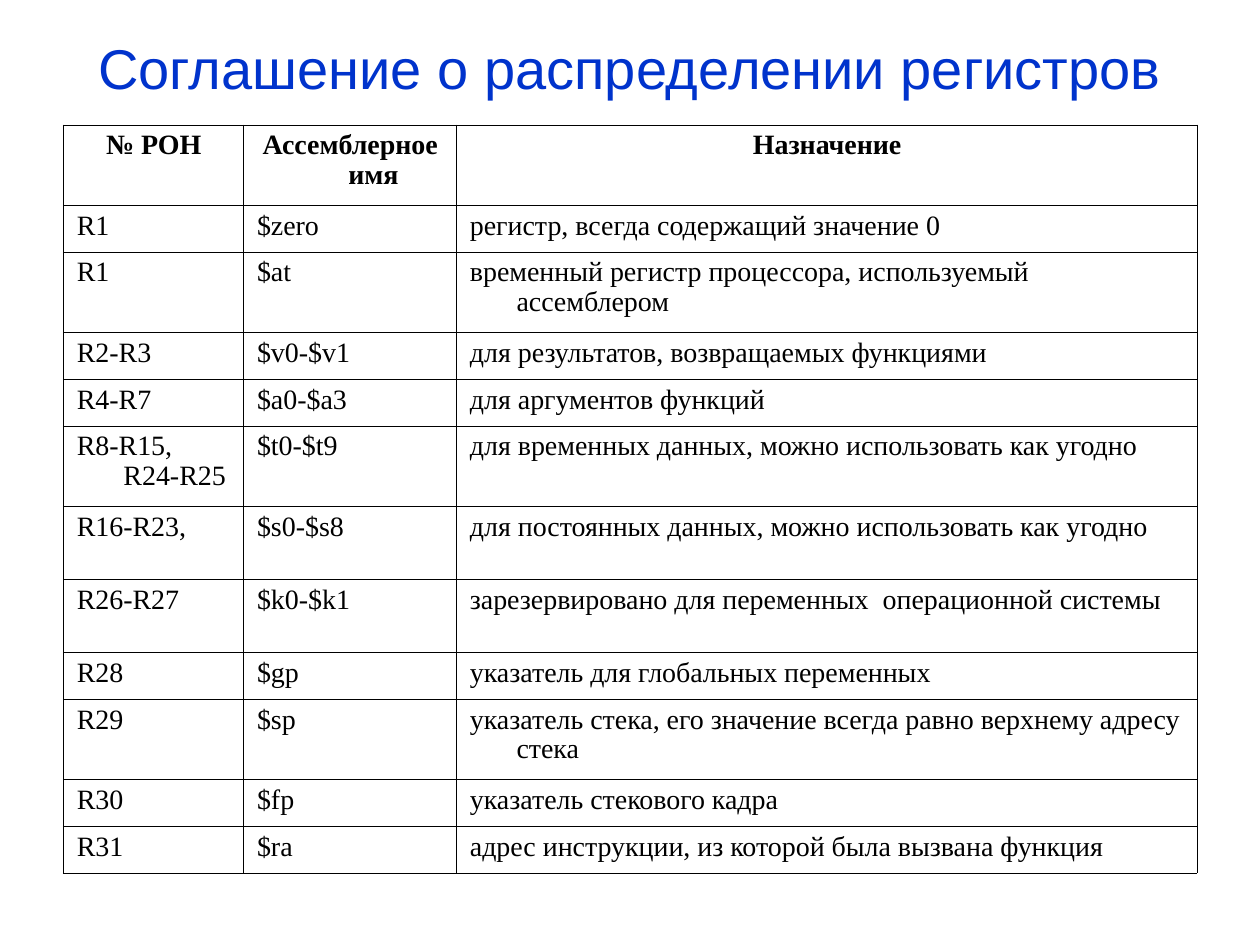
from lxml import etree
from pptx import Presentation
from pptx import util as u
from pptx.dml.color import RGBColor
from pptx.enum import text
from pptx.oxml import ns

COLORS = {"title": "0033CC", "body": "000000", "border": "000000"}
COLUMN_WIDTHS = [1.43, 1.69, 5.88]
SHORT, MEDIUM, TALL = 0.37, 0.58, 0.64
REGISTERS = [
    (TALL, "№ РОН", "Ассемблерное имя", "Назначение"),
    (SHORT, "R1", "$zero", "регистр, всегда содержащий значение 0"),
    (TALL, "R1", "$at", "временный регистр процессора, используемый ассемблером"),
    (SHORT, "R2-R3", "$v0-$v1", "для результатов, возвращаемых функциями"),
    (SHORT, "R4-R7", "$a0-$a3", "для аргументов функций"),
    (TALL, "R8-R15, R24-R25", "$t0-$t9", "для временных данных, можно использовать как угодно"),
    (MEDIUM, "R16-R23,", "$s0-$s8", "для постоянных данных, можно использовать как угодно"),
    (MEDIUM, "R26-R27", "$k0-$k1", "зарезервировано для переменных  операционной системы"),
    (SHORT, "R28", "$gp", "указатель для глобальных переменных"),
    (TALL, "R29", "$sp", "указатель стека, его значение всегда равно верхнему адресу стека"),
    (SHORT, "R30", "$fp", "указатель стекового кадра"),
    (SHORT, "R31", "$ra", "адрес инструкции, из которой была вызвана функция"),
]


def write_text(frame, content, *, font, size, color, bold=False, centered=False,
               spacing=None, hanging=False):
    paragraph = frame.paragraphs[0]
    paragraph.alignment = text.PP_ALIGN.CENTER if centered else text.PP_ALIGN.LEFT
    if spacing:
        paragraph.line_spacing = spacing
    if hanging:
        properties = paragraph._p.get_or_add_pPr()
        properties.set("marL", str(u.Inches(0.38)))
        properties.set("indent", str(u.Inches(-0.37)))
    run = paragraph.add_run()
    run.text = content
    run.font.name = font
    run.font.size = u.Pt(size)
    run.font.bold = bold
    run.font.color.rgb = RGBColor.from_string(COLORS[color])


class RegisterSlide:
    """Holds the style and the current slide, and adds elements to it."""

    title_style = {"font": "Arial", "size": 32, "color": "title", "centered": True}
    cell_style = {"font": "Times New Roman", "size": 16, "color": "body",
                  "spacing": 0.95, "hanging": True}
    border_width = 0.23

    def __init__(self, presentation):
        self.slide = presentation.slides.add_slide(presentation.slide_layouts[6])

    def add_title(self, content, left, top, width, height):
        shape = self.slide.shapes.add_textbox(*map(u.Inches, (left, top, width, height)))
        frame = shape.text_frame
        frame.word_wrap = True
        frame.vertical_anchor = text.MSO_ANCHOR.MIDDLE
        frame.margin_left = frame.margin_right = frame.margin_top = frame.margin_bottom = 0
        write_text(frame, content, **self.title_style)

    def add_table(self, rows, widths, left, top):
        heights = [row[0] for row in rows]
        box = (left, top, sum(widths), sum(heights))
        table = self.slide.shapes.add_table(len(rows), len(widths), *map(u.Inches, box)).table
        table.first_row = table.horz_banding = False
        for column, width in zip(table.columns, widths):
            column.width = u.Inches(width)
        for index, (height, *values) in enumerate(rows):
            table.rows[index].height = u.Inches(height)
            is_header = index == 0
            for column_index, value in enumerate(values):
                cell = table.cell(index, column_index)
                cell.fill.background()
                self.add_borders(cell)
                write_text(cell.text_frame, value, bold=is_header,
                           centered=is_header, **self.cell_style)

    def add_borders(self, cell):
        properties = cell._tc.get_or_add_tcPr()
        for position, side in enumerate(("lnL", "lnR", "lnT", "lnB")):
            line = etree.Element(ns.qn(f"a:{side}"), w=str(u.Pt(self.border_width)))
            fill = etree.SubElement(line, ns.qn("a:solidFill"))
            etree.SubElement(fill, ns.qn("a:srgbClr"), val=COLORS["border"])
            properties.insert(position, line)


def main():
    presentation = Presentation()
    presentation.slide_width = u.Inches(10)
    presentation.slide_height = u.Inches(7.5)
    page = RegisterSlide(presentation)
    page.add_title("Соглашение о распределении регистров", 0.5, 0.3, 9, 0.46)
    page.add_table(REGISTERS, COLUMN_WIDTHS, 0.5, 0.99)
    presentation.save("out.pptx")


if __name__ == "__main__":
    main()
